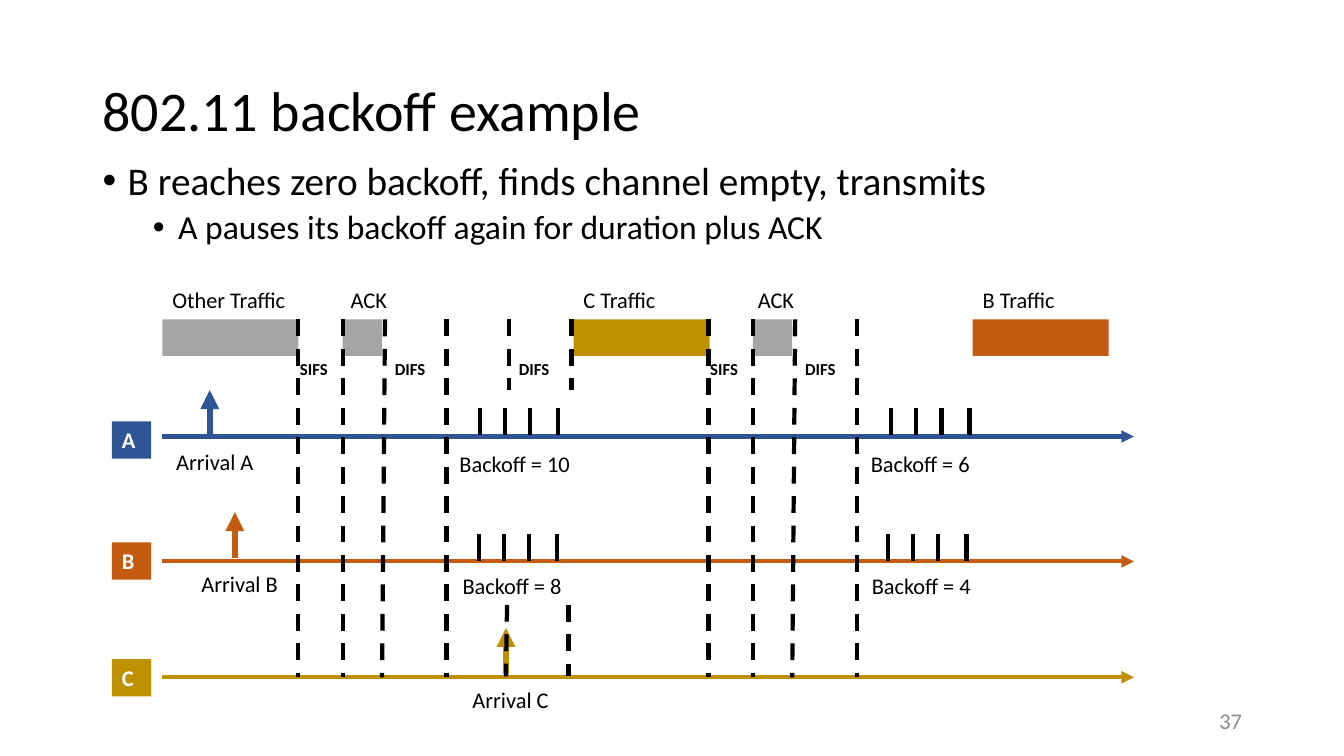
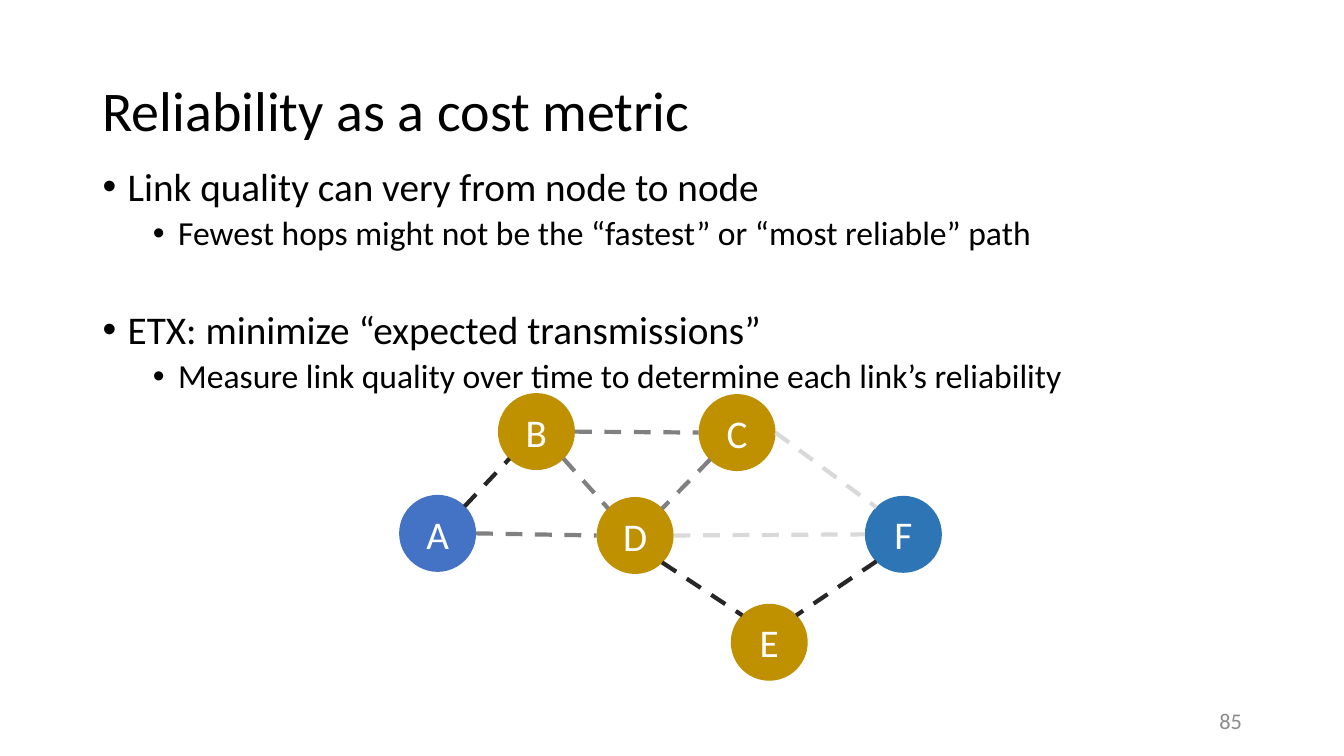
from lxml import etree
from pptx import Presentation
from pptx.dml.color import RGBColor
from pptx.enum.dml import MSO_LINE
from pptx.enum.shapes import MSO_CONNECTOR, MSO_SHAPE
from pptx.enum.text import MSO_ANCHOR, PP_ALIGN
from pptx.oxml.ns import qn
from pptx.util import Pt

RECT, OVAL = MSO_SHAPE.RECTANGLE, MSO_SHAPE.OVAL
STRAIGHT, DASH = MSO_CONNECTOR.STRAIGHT, MSO_LINE.DASH
LEFT, CENTER, RIGHT = PP_ALIGN.LEFT, PP_ALIGN.CENTER, PP_ALIGN.RIGHT
TOP, MIDDLE = MSO_ANCHOR.TOP, MSO_ANCHOR.MIDDLE

FONT = "Calibri"
BLACK, WHITE, MUTED, GRAY = "000000", "FFFFFF", "8C8C8C", "A6A6A6"
NAVY, RUST, GOLD = "2F5597", "C55A11", "BF9000"
BLUE, SKY = "4472C4", "2E75B6"
STRONG, FAIR, WEAK = "262626", "808080", "D9D9D9"
hue = RGBColor.from_string


def box(slide, x, y, w, h, text="", size=16, color=BLACK, bold=False,
        align=LEFT, anchor=TOP, kind=None, fill=None):
    area = Pt(x), Pt(y), Pt(w), Pt(h)
    if kind is None:
        shape = slide.shapes.add_textbox(*area)
    else:
        shape = slide.shapes.add_shape(kind, *area)
        shape.shadow.inherit = False
        shape.fill.solid()
        shape.fill.fore_color.rgb = hue(fill)
        shape.line.fill.background()
    frame = shape.text_frame
    frame.word_wrap = True
    frame.vertical_anchor = anchor
    if text:
        para = frame.paragraphs[0]
        para.alignment = align
        run = para.add_run()
        run.text = text
        run.font.name, run.font.size, run.font.bold = FONT, Pt(size), bold
        run.font.color.rgb = hue(color)
    return shape


def rule(slide, x1, y1, x2, y2, color=BLACK, width=3, dash=False, arrow=False):
    line = slide.shapes.add_connector(STRAIGHT, Pt(x1), Pt(y1), Pt(x2), Pt(y2))
    line.line.color.rgb = hue(color)
    line.line.width = Pt(width)
    if dash:
        line.line.dash_style = DASH
    props = line._element.spPr
    if arrow:
        etree.SubElement(props.find(qn("a:ln")), qn("a:tailEnd"), type="triangle")
    etree.SubElement(props, qn("a:effectLst"))


deck = Presentation()
deck.slide_width, deck.slide_height = Pt(960), Pt(540)

# Title, bullets and page number of each slide: (level, space before, text)
PAGES = [
    ("802.11 backoff example", "37", 111.6, [
        (0, 0, "B reaches zero backoff, finds channel empty, transmits"),
        (1, 5, "A pauses its backoff again for duration plus ACK")]),
    ("Reliability as a cost metric", "85", 115.9, [
        (0, 0, "Link quality can very from node to node"),
        (1, 5, "Fewest hops might not be the “fastest” or “most reliable” path"),
        (0, 41, "ETX: minimize “expected transmissions”"),
        (1, 5, "Measure link quality over time to determine each link’s reliability")]),
]
slides = []
for title, page, top, points in PAGES:
    slide = deck.slides.add_slide(deck.slide_layouts[6])
    slides.append(slide)
    head = box(slide, 66.2, 28.8, 828, 104.4, title, 40, anchor=MIDDLE)
    head.text_frame.paragraphs[0].line_spacing = 0.9
    frame = box(slide, 66.2, top, 828, 342.7).text_frame
    for num, (level, gap, text) in enumerate(points):
        para = frame.add_paragraph() if num else frame.paragraphs[0]
        props = para._p.get_or_add_pPr()
        props.set("marL", str(Pt(18 + 36 * level)))
        props.set("indent", str(-Pt(18)))
        etree.SubElement(props, qn("a:buFont"), typeface="Arial")
        etree.SubElement(props, qn("a:buChar"), char="•")
        para.level = level
        para.line_spacing = 0.9
        para.space_before = Pt(gap)
        run = para.add_run()
        run.text = text
        run.font.name, run.font.size = FONT, Pt(28 - 4 * level)
        run.font.color.rgb = hue(BLACK)
    box(slide, 678.2, 500.4, 216, 28.8, page, 16, MUTED, align=RIGHT, anchor=MIDDLE)

time, mesh = slides

# Channel use: left, width, fill, label, label left
BAR = 228.2
for x, w, fill, text, left in [
        (116, 97.2, GRAY, "Other Traffic", 116),
        (244.8, 28, GRAY, "ACK", 243.4),
        (409.7, 97.2, GOLD, "C Traffic", 409.7),
        (537.8, 28, GRAY, "ACK", 534.2),
        (694.8, 97.2, RUST, "B Traffic", 694.8)]:
    box(time, x, BAR, w, 26, kind=RECT, fill=fill)
    box(time, left, 200.9, 118, 26.6, text)

# Station lanes: name, colour, lane, badge top, arrival, arrow foot
for name, color, y, top, x, foot in [
        ("A", NAVY, 311.8, 301, 149.8, 311.8),
        ("B", RUST, 401, 387.4, 167.8, 398.9),
        ("C", GOLD, 483.8, 470.9, 361.4, 481.7)]:
    rule(time, 116, y, 810, y, color, arrow=True)
    box(time, 80, top, 28, 26.6, name, 16, WHITE, True, kind=RECT, fill=color)
    rule(time, x, foot, x, foot - 33.1, color, 4.5, arrow=True)
    box(time, x - 31, foot + 5, 97.2, 26.6, "Arrival " + name)

# Frame gaps, the same after each transmission
for shift in (0, 293):
    for x1, x2 in [(213.1, 213.1), (244.8, 244.8), (275, 272.9), (319, 319)]:
        rule(time, x1 + shift, BAR, x2 + shift, 483.8, dash=True)
    for x, text in [(207.2, "SIFS"), (275, "DIFS")]:
        box(time, x + shift, 252.7, 69.1, 21.6, text, 12, bold=True)

# Gap before C sends
for x1, x2, y1, y2 in [(363.6, 363.6, BAR, 278.6), (408.2, 408.2, BAR, 278.6),
                       (362.2, 361.4, 432, 483.1), (406.1, 406.1, 432, 483.1)]:
    rule(time, x1, y1, x2, y2, dash=True)
box(time, 363.6, 252.7, 69.1, 21.6, "DIFS", 12, bold=True)

# Backoff counters: first tick, tick top, label left, label top, count
for x, y, left, top, count in [
        (342.7, 291.6, 321.1, 318.2, 10), (342, 381.6, 323.3, 405.4, 8),
        (636.5, 291.6, 614.9, 318.2, 6), (634.3, 381.6, 615.6, 405.4, 4)]:
    for step in (0, 18, 36, 56):
        rule(time, x + step, y, x + step, y + 19.4)
    box(time, left, top, 123.1, 26.6, f"Backoff = {count}")

# Mesh nodes
SIZE = 55
NODES = {"A": (285.1, 353.5, BLUE), "B": (355.7, 280.8, GOLD),
         "C": (499, 281.5, GOLD), "D": (426.2, 355, GOLD),
         "E": (522, 431.3, GOLD), "F": (617.8, 354.2, SKY)}
for name, (x, y, fill) in NODES.items():
    box(mesh, x, y, SIZE, SIZE, name, 28, WHITE, align=CENTER, anchor=MIDDLE,
        kind=OVAL, fill=fill)

# Mesh links between points on the node rims
LOW, HIGH = 0.15, 0.85
RIM = {"w": (0, 0.5), "e": (1, 0.5), "nw": (LOW, LOW), "ne": (HIGH, LOW),
       "sw": (LOW, HIGH), "se": (HIGH, HIGH)}
for start, side, end, face, color in [
        ("A", "ne", "B", "sw", STRONG), ("B", "e", "C", "w", FAIR),
        ("B", "se", "D", "nw", FAIR), ("C", "sw", "D", "ne", FAIR),
        ("C", "e", "F", "nw", WEAK), ("D", "e", "F", "w", WEAK),
        ("D", "se", "E", "nw", STRONG), ("F", "sw", "E", "ne", STRONG),
        ("A", "e", "D", "w", FAIR)]:
    ends = []
    for name, spot in ((start, side), (end, face)):
        x, y, _ = NODES[name]
        ends += [x + SIZE * RIM[spot][0], y + SIZE * RIM[spot][1]]
    rule(mesh, *ends, color, dash=True)

deck.save("out.pptx")
